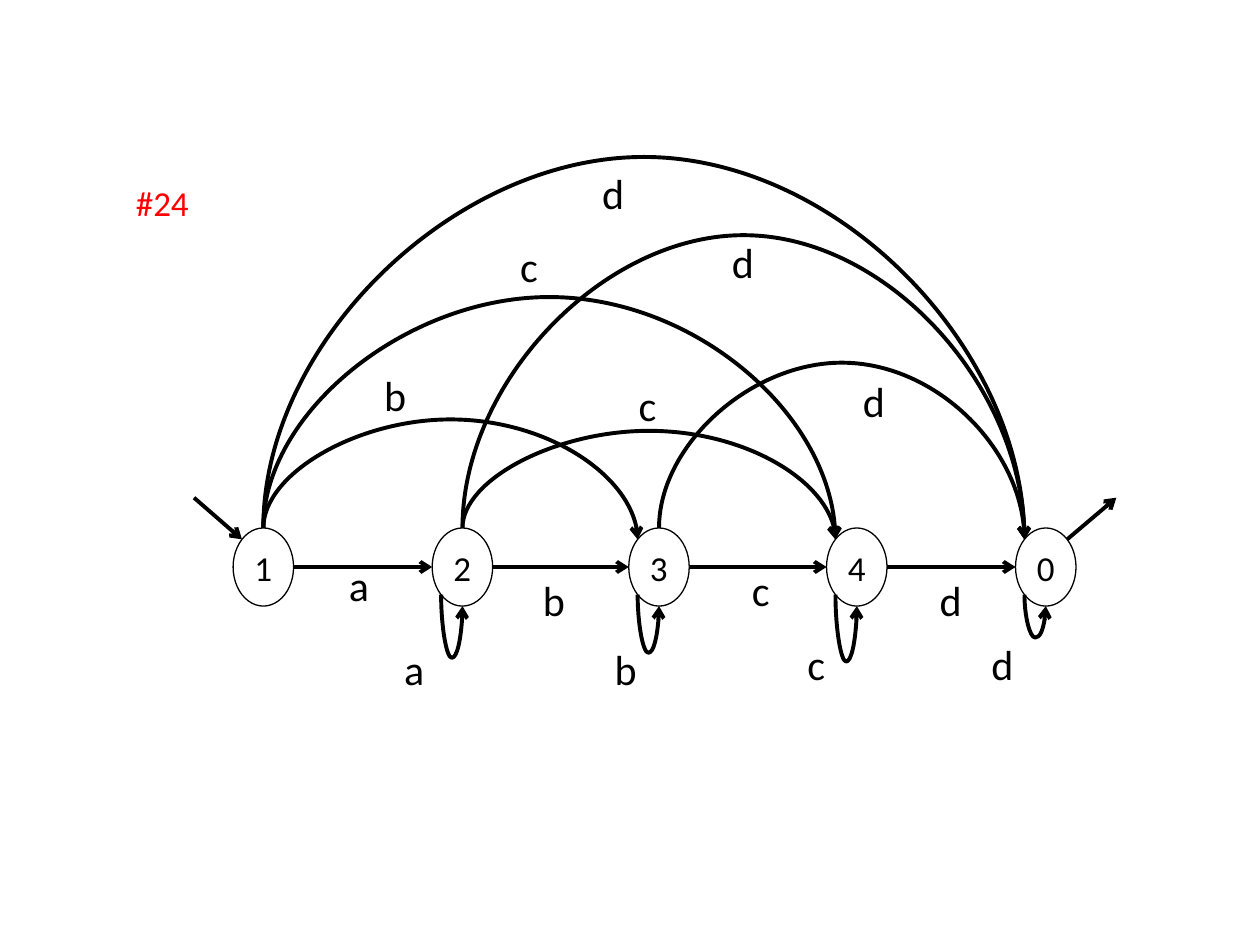
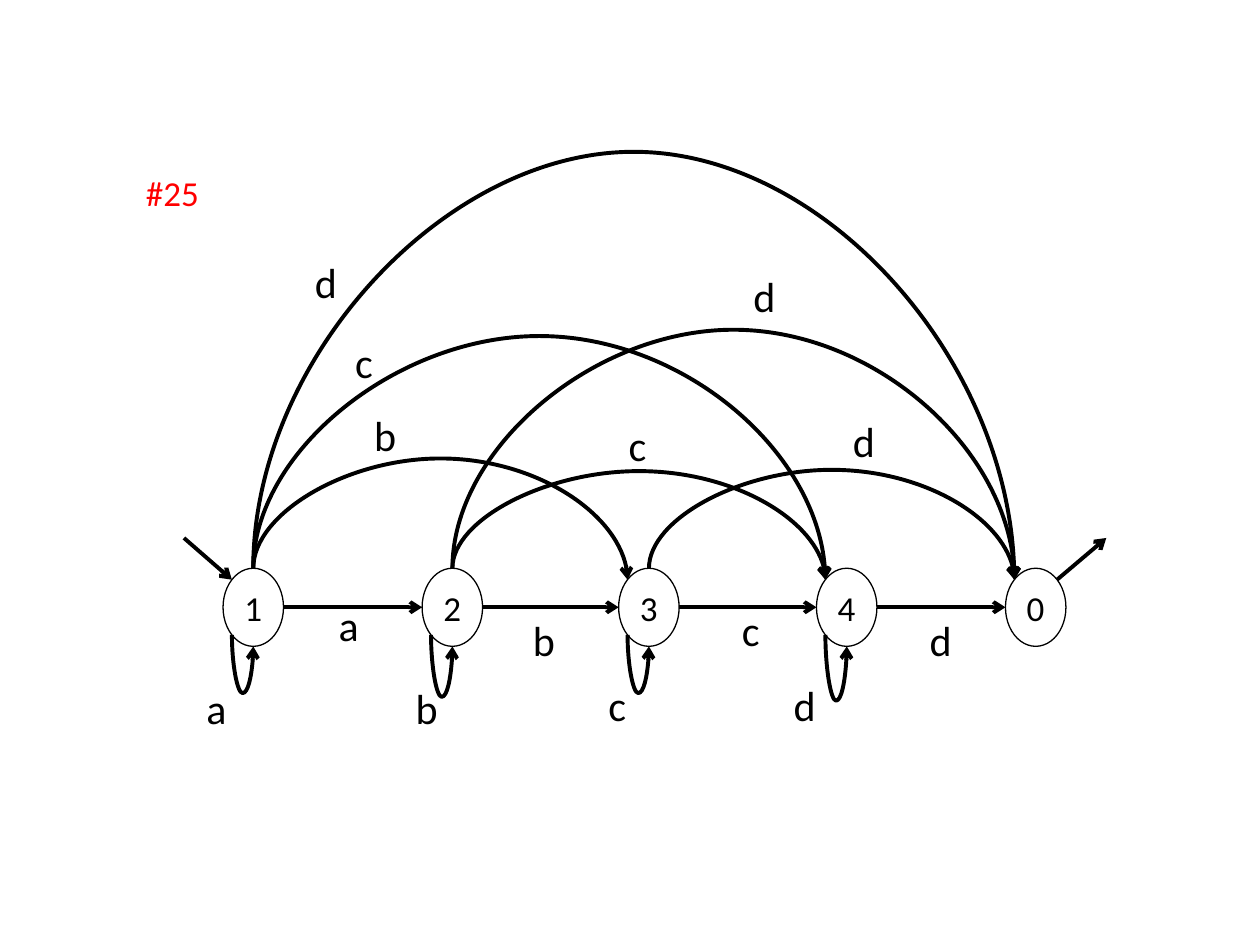
"""Builds two slides of state diagrams, #24 and #25, with five states each."""
import math
from lxml import etree
from pptx import Presentation
from pptx import util as u
from pptx.dml.color import RGBColor
from pptx.enum import shapes, text
from pptx.oxml.ns import qn

BLACK, RED = "000000", "FF0000"
FONT = "Calibri"
NODE_W, NODE_H = 0.48, 0.62
NODES = [("1", 1.85), ("2", 3.43), ("3", 4.99), ("4", 6.56), ("0", 8.06)]
STEPS = [("a", 2.67, 4.39), ("b", 4.21, 4.51), ("c", 5.87, 4.43), ("d", 7.36, 4.51)]
LABEL_W = {"a": 0.36, "b": 0.38, "c": 0.34, "d": 0.38}
TOP, TOP_LEFT, LEFT, BOTTOM_LEFT, BOTTOM, RIGHT, TOP_RIGHT = 0, 1, 2, 3, 4, 6, 7

# Loops: node, lowest y, letter, label x, y. Arcs: from, to, highest y, letter, label x, y.
SLIDES = [
    dict(tag="#24", tag_at=(0.98, 1.39), dx=0, dy=0,
         loops=[(1, 5.22, "a", 3.11, 5.06), (2, 5.18, "b", 4.78, 5.06),
                (3, 5.25, "c", 6.31, 5.02), (4, 5.06, "d", 7.77, 5.02)],
         arcs=[(0, 2, 3.33, "b", 2.95, 2.88), (1, 4, 1.87, "d", 5.71, 1.83),
               (1, 3, 3.42, "c", 4.97, 2.96), (0, 3, 2.36, "c", 4.03, 1.86),
               (0, 4, 1.25, "d", 4.68, 1.28), (2, 4, 2.88, "d", 6.75, 2.93)]),
    dict(tag="#25", tag_at=(1.06, 1.31), dx=-0.08, dy=0.32,
         loops=[(0, 5.5, "a", 1.54, 5.37), (1, 5.53, "b", 3.2, 5.37),
                (2, 5.5, "c", 4.73, 5.34), (3, 5.56, "d", 6.2, 5.34)],
         arcs=[(0, 2, 3.64, "b", 2.87, 3.2), (1, 4, 2.62, "d", 5.88, 2.1),
               (1, 3, 3.74, "c", 4.89, 3.28), (0, 3, 2.67, "c", 2.72, 2.62),
               (0, 4, 1.21, "d", 2.4, 1.99), (2, 4, 3.73, "d", 6.67, 3.25)]),
]


def write(sp, content, size, color=BLACK):
    """Put one formatted line of text in a shape that fits around it."""
    tf = sp.text_frame
    tf.text = content
    tf.word_wrap = False
    tf.auto_size = text.MSO_AUTO_SIZE.SHAPE_TO_FIT_TEXT
    r = tf.paragraphs[0].runs[0]
    r.font.name, r.font.size = FONT, u.Pt(size)
    r.font.color.rgb = RGBColor.from_string(color)


def arrow(s, start, end, peak=None):
    """Draw an arrow between points or (node, site) pairs, curved through peak if given."""
    points, glue = [], []
    for tag, place in (("a:stCxn", start), ("a:endCxn", end)):
        if hasattr(place[0], "shape_id"):
            sp, site = place
            angle = math.radians(90 + 45 * site)
            points.append((sp.left.inches + NODE_W / 2 * (1 + math.cos(angle)),
                           sp.top.inches + NODE_H / 2 * (1 - math.sin(angle))))
            glue.append((tag, sp.shape_id, site))
        else:
            points.append(place)
    (x1, y1), (x2, y2) = points
    kind = shapes.MSO_CONNECTOR.STRAIGHT if peak is None else shapes.MSO_CONNECTOR.CURVE
    c = s.shapes.add_connector(kind, *[u.Inches(v) for v in (x1, y1, x2, y2)])
    el = c._element
    if peak is not None:
        w, h = y2 - y1, x2 - x1
        c.left, c.top = u.Inches((x1 + x2 - w) / 2), u.Inches((y1 + y2 - h) / 2)
        c.width, c.height = u.Inches(w), u.Inches(h)
        xfrm = el.spPr.find(qn("a:xfrm"))
        xfrm.set("rot", str(270 * 60000))
        xfrm.set("flipH", "1")
        etree.SubElement(el.xpath(".//a:avLst")[0], qn("a:gd"), name="adj1",
                         fmla=f"val {round((peak - y1) / w * 100000)}")
    for tag, shape_id, site in glue:
        etree.SubElement(el.xpath(".//p:cNvCxnSpPr")[0], qn(tag), id=str(shape_id), idx=str(site))
    c.line.color.rgb = RGBColor.from_string(BLACK)
    c.line.width = u.Pt(2.25)
    etree.SubElement(c.line._get_or_add_ln(), qn("a:tailEnd"), type="arrow")
    etree.SubElement(el.spPr, qn("a:effectLst"))


prs = Presentation()
prs.slide_width, prs.slide_height = u.Inches(10), u.Inches(7.5)

for d in SLIDES:
    s = prs.slides.add_slide(prs.slide_layouts[6])
    dx, dy = d["dx"], d["dy"]

    nodes = []
    for name, x in NODES:
        sp = s.shapes.add_shape(shapes.MSO_SHAPE.OVAL, u.Inches(x + dx), u.Inches(4.19 + dy),
                                u.Inches(NODE_W), u.Inches(NODE_H))
        sp.shadow.inherit = False
        sp.fill.background()
        sp.line.color.rgb = RGBColor.from_string(BLACK)
        sp.line.width = u.Pt(0.75)
        write(sp, name, 20)
        nodes.append(sp)

    for a, b in zip(nodes, nodes[1:]):
        arrow(s, (a, RIGHT), (b, LEFT))
    arrow(s, (1.54 + dx, 3.95 + dy), (nodes[0], TOP_LEFT))
    arrow(s, (nodes[-1], TOP_RIGHT), (8.86 + dx, 3.95 + dy))

    labels = [(letter, x + dx, y + dy) for letter, x, y in STEPS]
    for i, low, *label in d["loops"]:
        arrow(s, (nodes[i], BOTTOM_LEFT), (nodes[i], BOTTOM), low)
        labels.append(label)
    for i, j, high, *label in d["arcs"]:
        arrow(s, (nodes[i], TOP), (nodes[j], TOP_LEFT), high)
        labels.append(label)

    for letter, x, y in labels:
        sp = s.shapes.add_textbox(u.Inches(x), u.Inches(y), u.Inches(LABEL_W[letter]), u.Inches(0.5))
        write(sp, letter, 24)
    x, y = d["tag_at"]
    sp = s.shapes.add_textbox(u.Inches(x), u.Inches(y), u.Inches(0.63), u.Inches(0.44))
    write(sp, d["tag"], 20, RED)

prs.save("out.pptx")
